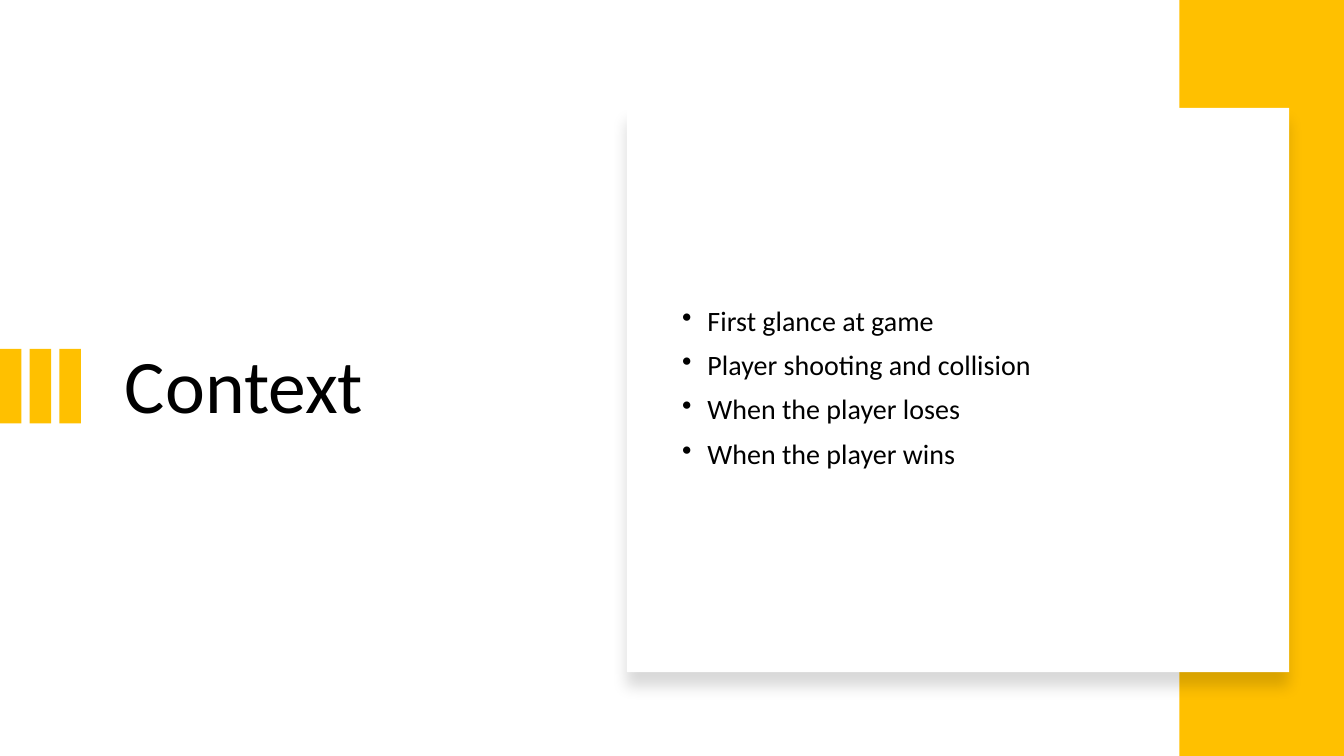
"""Build the Context slide: a title, three bars and a raised card of bullets."""
from dataclasses import dataclass

from lxml.etree import SubElement
from pptx import Presentation
from pptx.dml.color import RGBColor
from pptx.enum.shapes import MSO_SHAPE
from pptx.enum.text import MSO_ANCHOR
from pptx.oxml import parse_xml
from pptx.oxml.ns import nsdecls, qn
from pptx.util import Cm, Pt


@dataclass
class Theme:
    gold: RGBColor = RGBColor(0xFF, 0xC0, 0x00)
    white: RGBColor = RGBColor(0xFF, 0xFF, 0xFF)
    black: RGBColor = RGBColor(0x00, 0x00, 0x00)
    shade: str = "000000"
    font: str = "Calibri"
    head: Pt = Pt(54)
    body: Pt = Pt(20)


theme = Theme()


def add_block(shapes, left, top, width, height, color):
    block = shapes.add_shape(
        MSO_SHAPE.RECTANGLE, Cm(left), Cm(top), Cm(width), Cm(height))
    block.shadow.inherit = False
    block.fill.solid()
    block.fill.fore_color.rgb = color
    block.line.fill.background()
    return block


def add_text(shapes, left, width, lines, size):
    box = shapes.add_textbox(Cm(left), Cm(3.71), Cm(width), Cm(12.17))
    frame = box.text_frame
    frame.word_wrap = True
    frame.vertical_anchor = MSO_ANCHOR.MIDDLE
    frame.text = "\n".join(lines)
    for para in frame.paragraphs:
        para.line_spacing = 0.9
        para.font.name = theme.font
        para.font.size = size
        para.font.color.rgb = theme.black
    return frame


deck = Presentation()
deck.slide_width = Cm(33.87)
deck.slide_height = Cm(19.05)
slide = deck.slides.add_slide(deck.slide_layouts[6])
shapes = slide.shapes

add_text(shapes, 2.9, 10.82, ["Context"], theme.head)

bars = shapes.add_group_shape()
for step in range(3):
    add_block(bars.shapes, step * 0.75, 8.79, 0.54, 1.88, theme.gold)

add_block(shapes, 29.72, 0, 4.15, 19.05, theme.gold)

card = add_block(shapes, 15.8, 2.72, 16.69, 14.22, theme.white)
effect = card._element.spPr.find(qn("a:effectLst"))
effect.append(parse_xml(
    f'<a:outerShdw {nsdecls("a")} blurRad="{Pt(11)}" dist="{Pt(10)}" '
    f'dir="5400000" algn="t" rotWithShape="0"><a:srgbClr val="{theme.shade}">'
    '<a:alpha val="15000"/></a:srgbClr></a:outerShdw>'))

points = [
    "First glance at game",
    "Player shooting and collision",
    "When the player loses",
    "When the player wins",
]
body = add_text(shapes, 16.94, 14.6, points, theme.body)
for para in body.paragraphs:
    para.space_before = Pt(10)
    props = para._p.get_or_add_pPr()
    props.set("marL", str(Cm(0.64)))
    props.set("indent", str(-Cm(0.64)))
    mark = SubElement(props, qn("a:buChar"), char="•")
    props.find(qn("a:defRPr")).addprevious(mark)

deck.save("out.pptx")
